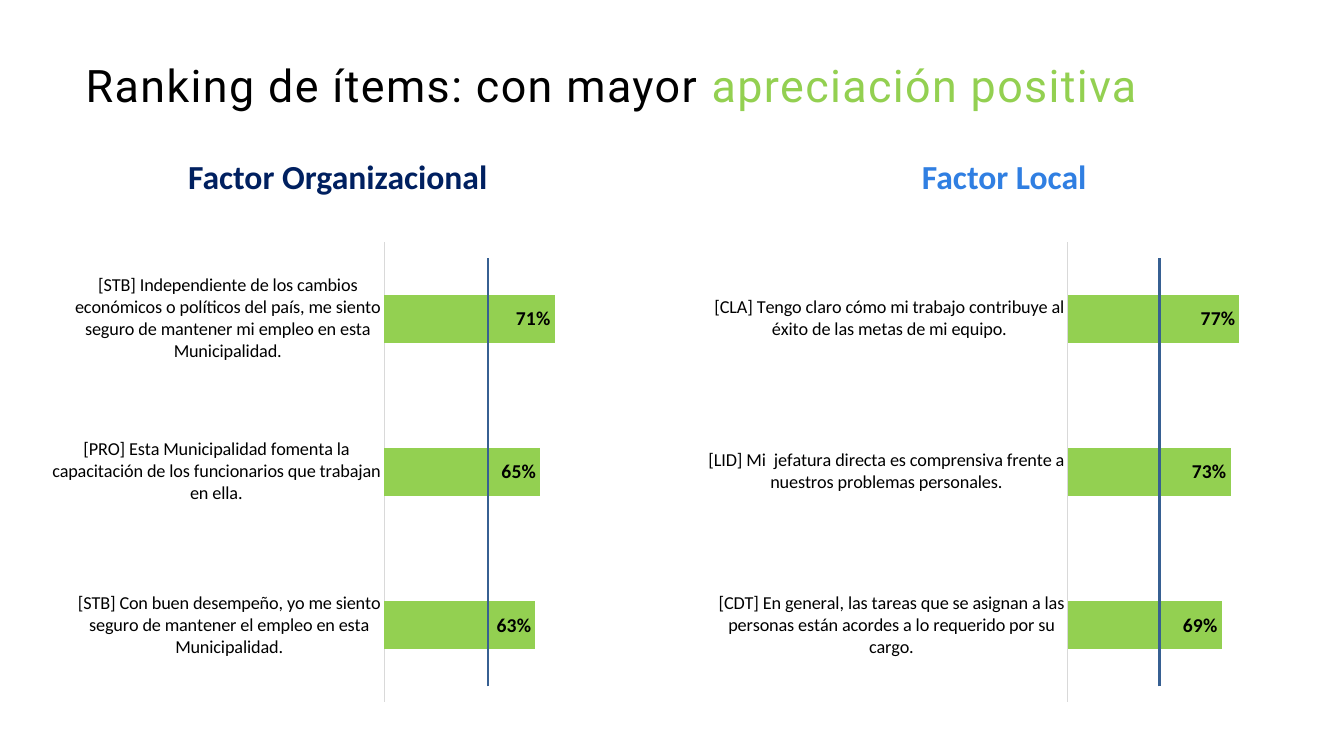
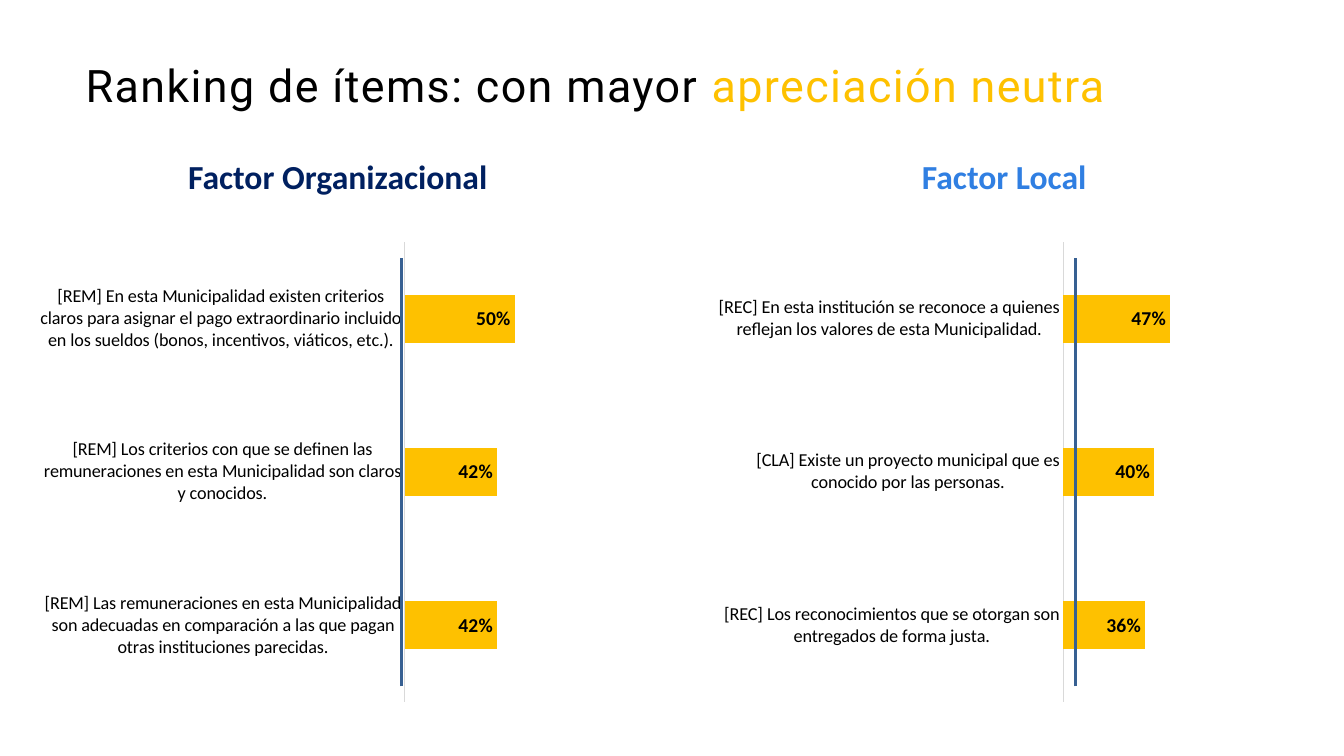
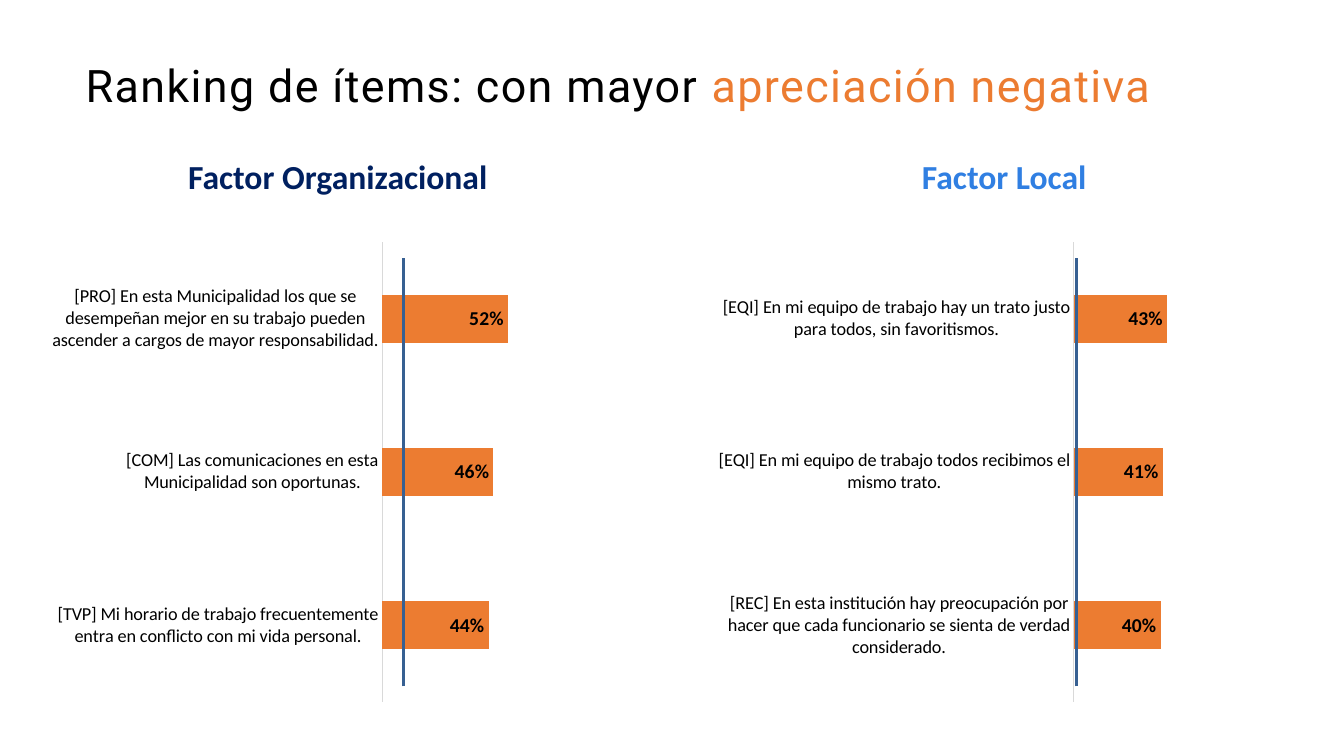
import pptx
import pptx.chart.data
import pptx.dml.color
import pptx.enum.chart
import pptx.enum.shapes
import pptx.enum.text
import pptx.util
from lxml import etree
from pptx.util import Inches

COLORS = {
    "text": "000000",
    "chart_text": "FFFFFF",
    "organizational": "002060",
    "local": "307FE2",
    "axis": "D9D9D9",
    "reference": "376092",
    "positive": "93D051",
    "neutral": "FEC100",
    "negative": "EC7C31",
}
BODY_FONT = "Calibri"
TITLE_FONT = "Roboto"
TITLE_START = "Ranking de ítems: con mayor "

# Each factor: heading, colour, heading left, chart left
FACTORS = [
    ("Factor Organizacional", "organizational", 0.83, 0.4),
    ("Factor Local", "local", 7.44, 7.01),
]

# Each ranking: title ending, colour, then per factor the reference line's x
# and the items from the lowest bar to the highest
RANKINGS = [
    ("apreciación positiva", "positive", [
        (4.84, [
            ("[STB] Con buen desempeño, yo me siento seguro de mantener el empleo "
             "en esta Municipalidad.", 0.63),
            ("[PRO] Esta Municipalidad fomenta la capacitación de los funcionarios "
             "que trabajan en ella.", 0.65),
            ("[STB] Independiente de los cambios económicos o políticos del país, "
             "me siento seguro de mantener mi empleo en esta Municipalidad.", 0.71),
        ]),
        (11.5, [
            ("[CDT] En general, las tareas que se asignan a las personas están "
             "acordes a lo requerido por su cargo.", 0.69),
            ("[LID] Mi  jefatura directa es comprensiva frente a nuestros problemas "
             "personales.", 0.73),
            ("[CLA] Tengo claro cómo mi trabajo contribuye al éxito de las metas "
             "de mi equipo.", 0.77),
        ]),
    ]),
    ("apreciación neutra", "neutral", [
        (3.98, [
            ("[REM] Las remuneraciones en esta Municipalidad son adecuadas en "
             "comparación a las que pagan otras instituciones parecidas.", 0.42),
            ("[REM] Los criterios con que se definen las remuneraciones en esta "
             "Municipalidad son claros y conocidos.", 0.42),
            ("[REM] En esta Municipalidad existen criterios claros para asignar el "
             "pago extraordinario incluido en los sueldos (bonos, incentivos, "
             "viáticos, etc.).", 0.5),
        ]),
        (10.67, [
            ("[REC] Los reconocimientos que se otorgan son entregados de forma "
             "justa.", 0.36),
            ("[CLA] Existe un proyecto municipal que es conocido por las "
             "personas.", 0.4),
            ("[REC] En esta institución se reconoce a quienes reflejan los valores "
             "de esta Municipalidad.", 0.47),
        ]),
    ]),
    ("apreciación negativa", "negative", [
        (4, [
            ("[TVP] Mi horario de trabajo frecuentemente entra en conflicto con mi "
             "vida personal.", 0.44),
            ("[COM] Las comunicaciones en esta Municipalidad son oportunas.", 0.46),
            ("[PRO] En esta Municipalidad los que se desempeñan mejor en su trabajo "
             "pueden ascender a cargos de mayor responsabilidad.", 0.52),
        ]),
        (10.68, [
            ("[REC] En esta institución hay preocupación por hacer que cada "
             "funcionario se sienta de verdad considerado.", 0.4),
            ("[EQI] En mi equipo de trabajo todos recibimos el mismo trato.", 0.41),
            ("[EQI] En mi equipo de trabajo hay un trato justo para todos, sin "
             "favoritismos.", 0.43),
        ]),
    ]),
]


def rgb(color):
    return pptx.dml.color.RGBColor.from_string(COLORS[color])


def style_font(font, name, size, color, bold=False):
    font.name = name
    font.size = pptx.util.Pt(size)
    font.bold = bold
    font.color.rgb = rgb(color)


def add_text_frame(slide, left, top, width, height):
    """Add a wrapping, vertically centred text box and return its frame."""
    frame = slide.shapes.add_textbox(
        Inches(left), Inches(top), Inches(width), Inches(height)).text_frame
    frame.word_wrap = True
    frame.vertical_anchor = pptx.enum.text.MSO_ANCHOR.MIDDLE
    frame.paragraphs[0].line_spacing = 0.9
    return frame


def add_title(slide, ending, color):
    frame = add_text_frame(slide, 0.85, 0.34, 11.78, 1.06)
    frame.margin_left = frame.margin_right = 0
    frame.margin_top = frame.margin_bottom = 0
    for text, run_color in ((TITLE_START, "text"), (ending, color)):
        run = frame.paragraphs[0].add_run()
        run.text = text
        style_font(run.font, TITLE_FONT, 32, run_color)
        run._r.get_or_add_rPr().set("spc", "100")


def add_heading(slide, text, color, left):
    frame = add_text_frame(slide, left, 1.58, 5.04, 0.33)
    frame.text = text
    heading = frame.paragraphs[0]
    heading.alignment = pptx.enum.text.PP_ALIGN.CENTER
    style_font(heading.runs[0].font, BODY_FONT, 24, color, bold=True)


def add_ranking_chart(slide, items, color, left):
    data = pptx.chart.data.CategoryChartData(number_format="0%")
    data.categories = [item for item, share in items]
    data.add_series("Series 1", [share for item, share in items])
    chart = slide.shapes.add_chart(
        pptx.enum.chart.XL_CHART_TYPE.BAR_CLUSTERED,
        Inches(left), Inches(2.31), Inches(5.91), Inches(4.75), data).chart
    chart.has_title = False
    chart.has_legend = False
    style_font(chart.font, BODY_FONT, 10, "chart_text")

    item_axis = chart.category_axis
    item_axis.major_tick_mark = pptx.enum.chart.XL_TICK_MARK.NONE
    item_axis.format.line.color.rgb = rgb("axis")
    item_axis.format.line.width = pptx.util.Pt(0.75)
    style_font(item_axis.tick_labels.font, BODY_FONT, 13, "text")

    share_axis = chart.value_axis
    share_axis.minimum_scale = 0
    share_axis.maximum_scale = 1
    share_axis.has_major_gridlines = False
    share_axis.visible = False

    plot = chart.plots[0]
    plot.gap_width = 219
    plot.vary_by_categories = False
    bars = plot.series[0]
    bars.format.fill.solid()
    bars.format.fill.fore_color.rgb = rgb(color)
    labels = bars.data_labels
    labels.show_value = True
    labels.number_format = "0%"
    labels.number_format_is_linked = False
    labels.position = pptx.enum.chart.XL_LABEL_POSITION.INSIDE_END
    style_font(labels.font, BODY_FONT, 14, "text", bold=True)


def add_reference_line(slide, x):
    line = slide.shapes.add_connector(
        pptx.enum.shapes.MSO_CONNECTOR.STRAIGHT,
        Inches(x), Inches(6.81), Inches(x), Inches(2.56))
    line.line.color.rgb = rgb("reference")
    line.line.width = pptx.util.Pt(2)
    etree.SubElement(line._element.spPr, pptx.oxml.ns.qn("a:effectLst"))


def add_ranking_slide(deck, ending, color, panels):
    slide = deck.slides.add_slide(deck.slide_layouts[6])
    add_title(slide, ending, color)
    for factor, panel in zip(FACTORS, panels):
        heading, heading_color, heading_left, chart_left = factor
        reference_x, items = panel
        add_heading(slide, heading, heading_color, heading_left)
        add_ranking_chart(slide, items, color, chart_left)
        add_reference_line(slide, reference_x)


def main():
    deck = pptx.Presentation()
    deck.slide_width = Inches(13.33)
    deck.slide_height = Inches(7.5)
    for ending, color, panels in RANKINGS:
        add_ranking_slide(deck, ending, color, panels)
    deck.save("out.pptx")


if __name__ == "__main__":
    main()
